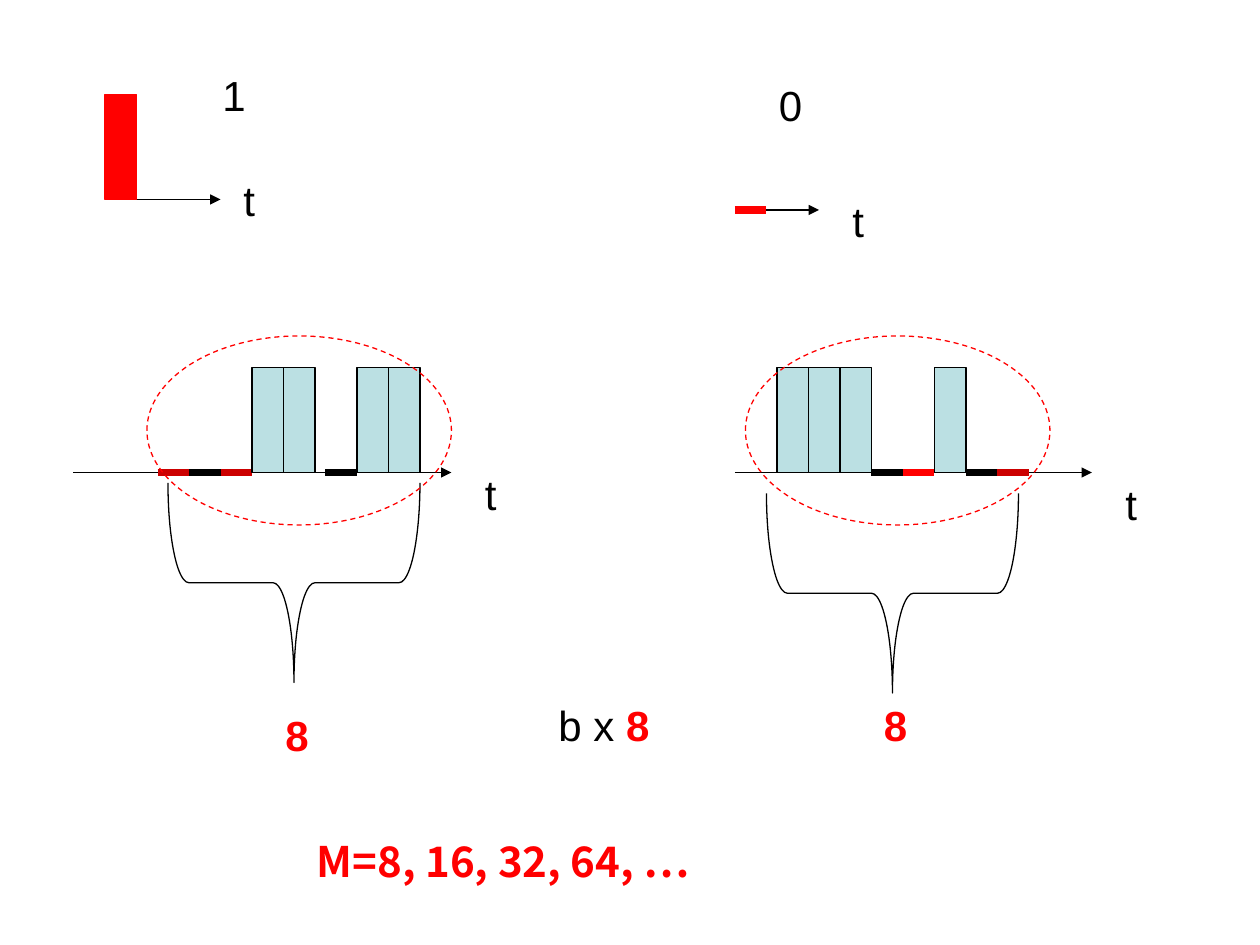
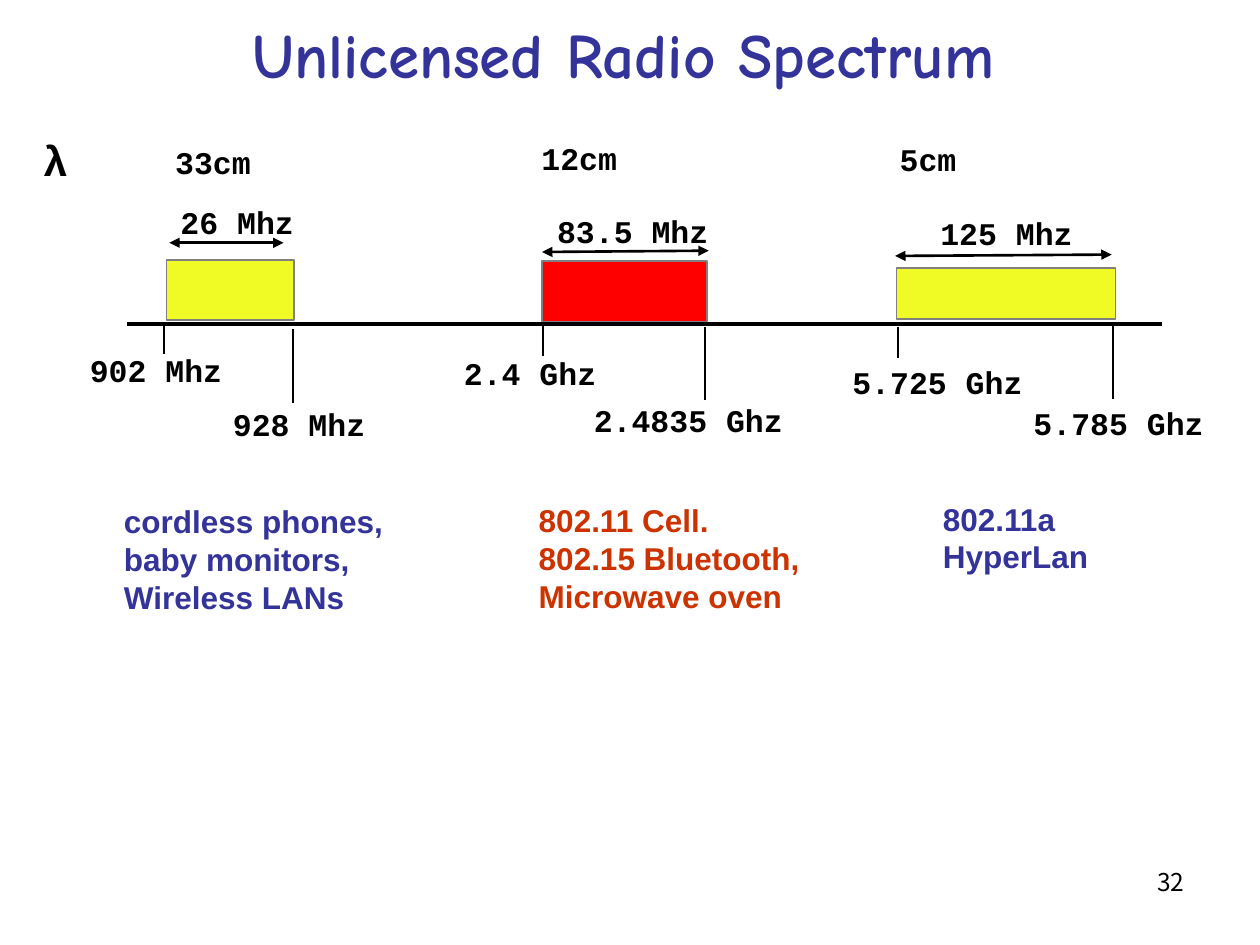
from lxml.etree import SubElement
from pptx import Presentation
from pptx.dml.color import RGBColor
from pptx.enum.dml import MSO_LINE_DASH_STYLE as Dash
from pptx.enum.shapes import MSO_CONNECTOR, MSO_SHAPE as Shape
from pptx.enum.text import MSO_ANCHOR as Anchor, MSO_AUTO_SIZE as AutoSize, PP_ALIGN as Align
from pptx.oxml.ns import qn
from pptx.util import Emu, Pt

PX = 9525  # EMU per px, 96 px to the inch
COLORS = {
    "black": "000000", "red": "FF0000", "dark_red": "CC0000", "pulse": "BBE0E3",
    "blue": "333399", "orange": "CC3300", "yellow": "F0FA24", "grey": "808080",
}
SANS, MONO, TITLE_FONT, CJK = "Arial", "Courier New", "Comic Neue", "Noto Sans CJK KR"

# Slide 1: chips are B = pulse, k/r/d = flat black/red/dark red
CHIP_W, CHIP_H, CHIP_AXIS_Y = 24, 80, 360
FLAT = {"k": "black", "r": "red", "d": "dark_red"}
CODES = [
    {"axis": (56, 344), "chips": [(120, "dkdBB"), (248, "kBB")], "oval": 112,
     "brace": (128, 368), "t": (360, 352), "count": (208, 536)},
    {"axis": (560, 832), "chips": [(592, "BBBkrBkd")], "oval": 568,
     "brace": (584, 376), "t": (848, 360), "count": (664, 528)},
]
ONE_BIT = {"start": (80, 152), "axis_end": 168, "t": (176, 128), "label": ("1", 160, 48)}
ZERO_BIT = {"start": (560, 160), "axis_end": 624, "t": (640, 144), "label": ("0", 584, 56)}

# Slide 2: labels are (text, x, y), ticks are (x, top, bottom)
TITLE = "Unlicensed Radio Spectrum"
BANDS = [
    {"bar": (127, 198, 97, 46), "fill": "yellow", "span": (129, 185, 216, 185),
     "labels": [("33cm", 124, 104), ("26 Mhz", 128, 150),
                ("902 Mhz", 59, 263), ("928 Mhz", 168, 304)],
     "ticks": [(125, 246, 270), (223, 251, 307)],
     "uses": ["cordless phones,", "baby monitors,", "Wireless LANs"],
     "uses_at": (85, 378, 230), "uses_color": "blue"},
    {"bar": (413, 199, 126, 46), "fill": "red", "span": (413, 192, 540, 191),
     "labels": [("12cm", 403, 101), ("83.5 Mhz", 415, 157),
                ("2.4 Ghz", 344, 265), ("2.4835 Ghz", 443, 301)],
     "ticks": [(414, 248, 271), (537, 249, 305)],
     "uses": ["802.11 Cell.", "802.15 Bluetooth,", "Microwave oven"],
     "uses_at": (401, 377, 230), "uses_color": "orange"},
    {"bar": (683, 204, 167, 39), "fill": "yellow", "span": (682, 195, 847, 194),
     "labels": [("5cm", 676, 102), ("125 Mhz", 707, 158),
                ("5.725 Ghz", 640, 272), ("5.785 Ghz", 778, 303)],
     "ticks": [(684, 249, 273), (848, 248, 304)],
     "uses": ["802.11a", "HyperLan"],
     "uses_at": (709, 376, 140), "uses_color": "blue"},
]


def px(*lengths):
    return [Emu(round(length * PX)) for length in lengths]


def rgb(color):
    return RGBColor.from_string(COLORS[color])


def style_font(font, size, name, color, bold=False):
    font.size, font.name, font.bold = Pt(size), name, bold
    font.color.rgb = rgb(color)


def add_line(slide, x1, y1, x2, y2, color="black", width=0.75, ends=()):
    line = slide.shapes.add_connector(MSO_CONNECTOR.STRAIGHT, *px(x1, y1, x2, y2))
    line.line.color.rgb, line.line.width = rgb(color), Pt(width)
    for end in ends:
        SubElement(line.line._get_or_add_ln(), qn(f"a:{end}"), type="triangle")
    SubElement(line._element.spPr, qn("a:effectLst"))


def add_figure(slide, kind, box, fill=None, outline="black", width=0.75):
    figure = slide.shapes.add_shape(kind, *px(*box))
    figure.shadow.inherit = False
    if fill:
        figure.fill.solid()
        figure.fill.fore_color.rgb = rgb(fill)
    else:
        figure.fill.background()
    figure.line.color.rgb, figure.line.width = rgb(outline), Pt(width)
    return figure


def add_text(slide, lines, box, size=24, name=SANS, color="black", bold=False):
    frame = slide.shapes.add_textbox(*px(*box)).text_frame
    frame.word_wrap = True
    frame.auto_size = AutoSize.SHAPE_TO_FIT_TEXT
    frame.text = "\n".join(lines)
    for paragraph in frame.paragraphs:
        for run in paragraph.runs:
            style_font(run.font, size, name, color, bold)
    return frame


def add_time_axis(slide, x1, x2, y, t_at):
    add_line(slide, x1, y, x2, y, ends=["tailEnd"])
    add_text(slide, ["t"], (*t_at, 32, 48))


def add_code(slide, code):
    add_time_axis(slide, *code["axis"], CHIP_AXIS_Y, code["t"])
    for start, chips in code["chips"]:
        for i, chip in enumerate(chips):
            x = start + i * CHIP_W
            if chip == "B":
                add_figure(slide, Shape.RECTANGLE,
                           (x, CHIP_AXIS_Y - CHIP_H, CHIP_W, CHIP_H), "pulse")
            else:
                add_line(slide, x, CHIP_AXIS_Y, x + CHIP_W, CHIP_AXIS_Y, FLAT[chip], 4.5)
    # Brace turned to point down: its width and height swap about the centre
    x, y = code["brace"]
    length, depth = 192, 152
    shift = (length - depth) / 2
    brace = add_figure(slide, Shape.LEFT_BRACE, (x + shift, y - shift, depth, length))
    brace.rotation = 270
    brace.adjustments[0] = 16 / depth
    add_text(slide, ["8"], (*code["count"], 32, 48), color="red", bold=True)
    oval = add_figure(slide, Shape.OVAL, (code["oval"], 256, 232, 144), outline="red")
    oval.line.dash_style = Dash.DASH


def build_codes(prs):
    slide = prs.slides.add_slide(prs.slide_layouts[6])
    # Single bits
    for bit in (ONE_BIT, ZERO_BIT):
        x, y = bit["start"]
        add_time_axis(slide, x + CHIP_W, bit["axis_end"], y, bit["t"])
        text, *label_at = bit["label"]
        add_text(slide, [text], (*label_at, 56, 48))
    x, y = ONE_BIT["start"]
    add_figure(slide, Shape.RECTANGLE, (x, y - CHIP_H, CHIP_W, CHIP_H), "red", "red")
    x, y = ZERO_BIT["start"]
    add_line(slide, x, y, x + CHIP_W, y, "red", 4.5)
    # Spread codes
    for code in CODES:
        add_code(slide, code)
    # Rate and code lengths
    rate = add_text(slide, ["b x "], (416, 528, 112, 48)).paragraphs[0]
    factor = rate.add_run()
    factor.text = "8"
    style_font(factor.font, 24, SANS, "red", True)
    add_text(slide, ["M=8, 16, 32, 64, …"], (232, 632, 336, 48), name=CJK, color="red", bold=True)


def build_spectrum(prs):
    slide = prs.slides.add_slide(prs.slide_layouts[5])
    # Title and page number
    title = slide.shapes.title
    title.left, title.top, title.width, title.height = px(67, 5, 816, 72)
    heading = title.text_frame
    heading.text = TITLE
    heading.auto_size, heading.vertical_anchor = AutoSize.NONE, Anchor.MIDDLE
    heading.paragraphs[0].alignment = Align.CENTER
    style_font(heading.paragraphs[0].runs[0].font, 36, TITLE_FONT, "blue", True)
    page = add_text(slide, ["32"], (688, 656, 224, 50), 14, CJK)
    page.paragraphs[0].alignment = Align.RIGHT
    # Frequency axis and bands
    add_line(slide, 97, 247, 885, 247, width=2.25)
    add_text(slide, ["λ"], (24, 98, 40, 48), bold=True)
    for band in BANDS:
        add_figure(slide, Shape.RECTANGLE, band["bar"], band["fill"], "grey", 1)
        add_line(slide, *band["span"], width=1.5, ends=["headEnd", "tailEnd"])
        for x, top, bottom in band["ticks"]:
            add_line(slide, x, top, x, bottom, width=1)
        # Label boxes: one fixed-pitch advance per letter, plus insets and slack
        for text, x, y in band["labels"]:
            width = round(14.4 * len(text) + 26)
            add_text(slide, [text], (x, y, width, 38), 18, MONO, bold=True)
        x, y, width = band["uses_at"]
        height = round(28.8 * len(band["uses"]) + 9.6)
        add_text(slide, band["uses"], (x, y, width, height), 18,
                 color=band["uses_color"], bold=True)


def main():
    prs = Presentation()
    prs.slide_width, prs.slide_height = px(960, 720)
    build_codes(prs)
    build_spectrum(prs)
    prs.save("out.pptx")


if __name__ == "__main__":
    main()
